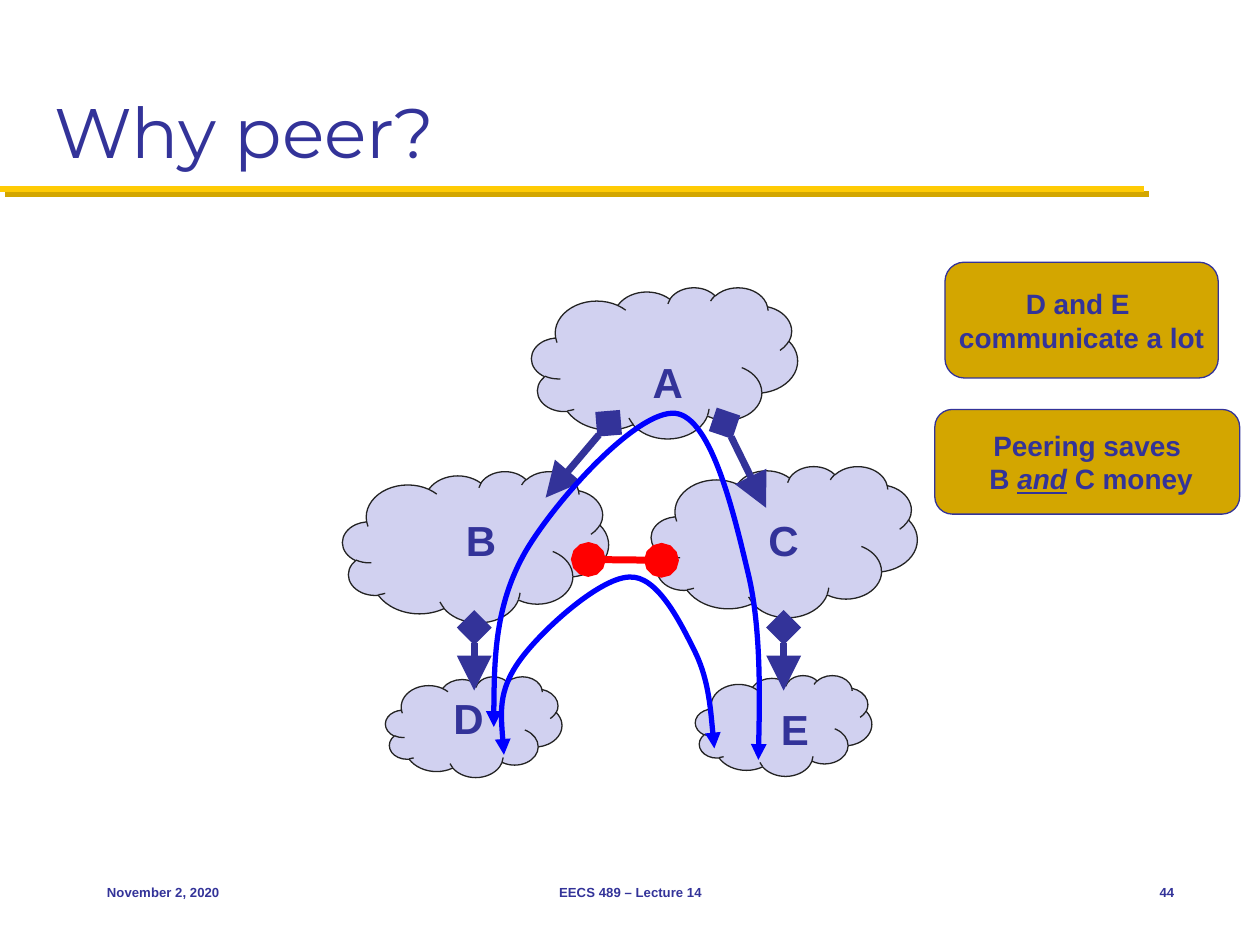
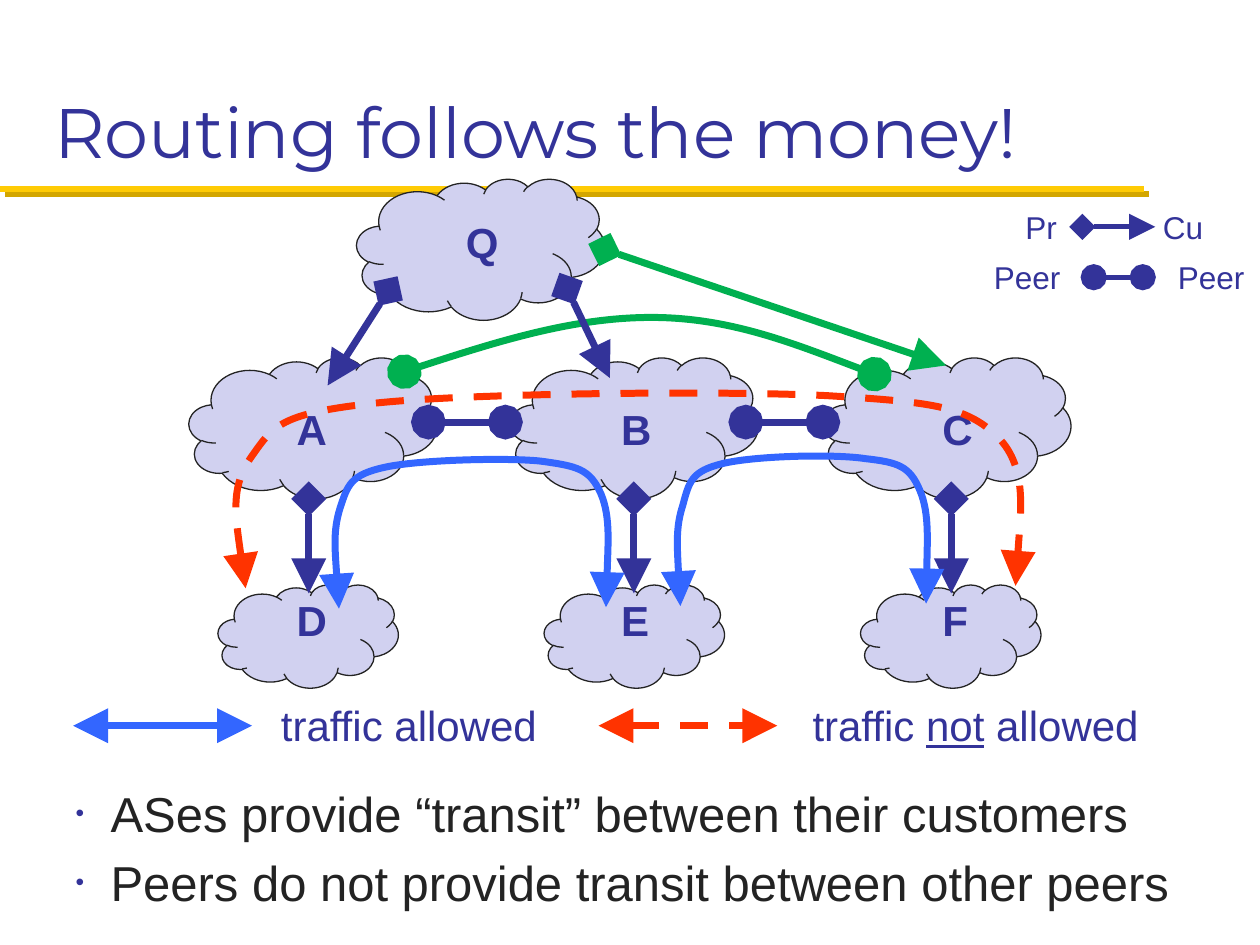
"""Build two slides on peering between networks and routing by money."""
from lxml.etree import SubElement
from pptx import Presentation
from pptx.dml.color import RGBColor
from pptx.enum.dml import MSO_LINE
from pptx.enum.shapes import MSO_CONNECTOR as CONN, MSO_SHAPE as SHAPE
from pptx.enum.text import MSO_ANCHOR as ANCHOR, MSO_AUTO_SIZE as FIT, PP_ALIGN as ALIGN
from pptx.oxml.ns import qn
from pptx.util import Pt

COLORS = {
    "navy": "333399", "ink": "232323", "cloud": "D1D1F0", "maize": "FFCB05",
    "gold": "D3A600", "red": "FF0000", "blue": "0000FF", "sky": "3366FF",
    "orange": "FF3300", "green": "00B050",
}
TRANSIT = ("diamond", "triangle")
PEER = ("oval", "oval")
TRAFFIC = ("triangle", "triangle")


def rgb(name):
    return RGBColor.from_string(COLORS[name])


class Deck:
    """Holds the style and the current slide, and draws each kind of element."""

    def __init__(self):
        self.prs = Presentation()
        self.prs.slide_width, self.prs.slide_height = Pt(720), Pt(540)
        self.slide = None

    def new_slide(self, title, layout):
        self.slide = self.prs.slides.add_slide(self.prs.slide_layouts[layout])
        self.rule()
        sp = self.slide.shapes.title
        self.place(sp, 23.8, 12.2, 671.8, 90)
        tf = self.frame(sp, ANCHOR.BOTTOM, wrap=True)
        self.add_runs(tf.paragraphs[0], [(title, "")], 40, font="Montserrat")

    def place(self, sp, x, y, w, h):
        sp.left, sp.top, sp.width, sp.height = Pt(x), Pt(y), Pt(w), Pt(h)

    def frame(self, sp, anchor=ANCHOR.TOP, wrap=False):
        tf = sp.text_frame
        tf.auto_size = FIT.NONE
        tf.word_wrap, tf.vertical_anchor = wrap, anchor
        return tf

    def add_runs(self, p, runs, size, color="navy", font="Arial", align=ALIGN.LEFT):
        p.alignment = align
        for text, style in runs:
            if text == "\n":
                p.add_line_break()
                continue
            r = p.add_run()
            r.text = text
            f = r.font
            f.name, f.size, f.color.rgb = font, Pt(size), rgb(color)
            f.bold, f.italic, f.underline = "b" in style, "i" in style, "u" in style

    def text(self, x, y, w, h, runs, size, align=ALIGN.LEFT, anchor=ANCHOR.TOP):
        sp = self.slide.shapes.add_textbox(Pt(x), Pt(y), Pt(w), Pt(h))
        tf = self.frame(sp, anchor)
        self.add_runs(tf.paragraphs[0], runs, size, align=align)

    def letter(self, name, x, y):
        self.text(x, y, 30, 36, [(name, "b")], 24)

    def shape(self, kind, x, y, w, h, fill, line):
        sp = self.slide.shapes.add_shape(kind, Pt(x), Pt(y), Pt(w), Pt(h))
        sp.shadow.inherit = False
        sp.fill.solid()
        sp.fill.fore_color.rgb = rgb(fill)
        sp.line.color.rgb, sp.line.width = rgb(line), Pt(0.75)
        return sp

    def cloud(self, x, y, size):
        self.shape(SHAPE.CLOUD, x, y, *size, "cloud", "ink")

    def callout(self, x, y, w, h, runs):
        sp = self.shape(SHAPE.ROUNDED_RECTANGLE, x, y, w, h, "gold", "navy")
        tf = self.frame(sp, ANCHOR.MIDDLE)
        self.add_runs(tf.paragraphs[0], runs, 16, align=ALIGN.CENTER)

    def stroke(self, sp, color, width, ends, size, dashed):
        sp.line.color.rgb, sp.line.width = rgb(color), Pt(width)
        if dashed:
            sp.line.dash_style = MSO_LINE.DASH
        ln = sp._element.spPr.find(qn("a:ln"))
        for tag, kind in zip(("a:headEnd", "a:tailEnd"), ends):
            SubElement(ln, qn(tag), type=kind, w=size, len=size)

    def line(self, x1, y1, x2, y2, ends=(), color="navy", width=4, dashed=False):
        sp = self.slide.shapes.add_connector(CONN.STRAIGHT, Pt(x1), Pt(y1), Pt(x2), Pt(y2))
        self.stroke(sp, color, width, ends, "lg", dashed)
        return SubElement(sp._element.spPr, qn("a:effectLst"))

    def rule(self):
        effects = self.line(0, 108, 653.8, 108, color="maize", width=3.5)
        shadow = SubElement(effects, qn("a:outerShdw"), blurRad="0", dist=str(Pt(4.2)),
                            dir="2700000", algn="ctr", rotWithShape="0")
        SubElement(shadow, qn("a:srgbClr"), val=COLORS["gold"])

    def curve(self, points, color, ends=TRAFFIC, width=4, size="lg", dashed=False):
        start, *rest = [(Pt(x), Pt(y)) for x, y in points]
        fb = self.slide.shapes.build_freeform(*start, scale=1.0)
        fb.add_line_segments(rest, close=False)
        sp = fb.convert_to_shape()
        sp.shadow.inherit = False
        sp.fill.background()
        steps = list(sp._element.iter(qn("a:lnTo")))
        for i in range(0, len(steps), 3):
            bezier = SubElement(steps[i].getparent(), qn("a:cubicBezTo"))
            for step in steps[i:i + 3]:
                bezier.append(step[0])
                step.getparent().remove(step)
        self.stroke(sp, color, width, ends, size, dashed)

    def bullets(self, x, y, w, h, items):
        sp = self.slide.placeholders[1]
        self.place(sp, x, y, w, h)
        tf = self.frame(sp, wrap=True)
        for i, item in enumerate(items):
            p = tf.add_paragraph() if i else tf.paragraphs[0]
            self.add_runs(p, [(item, "")], 28, "ink")
            pPr = p._p.get_or_add_pPr()
            pPr.set("marL", str(Pt(20)))
            pPr.set("indent", str(-Pt(20)))
            SubElement(SubElement(pPr, qn("a:buClr")), qn("a:srgbClr"), val=COLORS["navy"])
            SubElement(pPr, qn("a:buSzPct"), val="50000")
            SubElement(pPr, qn("a:buFont"), typeface="Arial")
            SubElement(pPr, qn("a:buChar"), char="•")

    def footer(self, date, course, number):
        for x, w, text, align in ((54, 149.8, date, ALIGN.LEFT),
                                  (246.2, 228.2, course, ALIGN.CENTER),
                                  (630, 48.2, number, ALIGN.RIGHT)):
            self.text(x, 491.8, w, 36, [(text, "b")], 7.5, align, ANCHOR.MIDDLE)


def why_peer(deck):
    deck.new_slide("Why peer?", 5)
    big, small = (152, 86.4), (100.8, 57.6)
    for x, y, size in ((397.4, 385.9, small), (220.3, 386.6, small), (303.8, 164.2, big),
                       (372.2, 266.4, big), (195.8, 269.3, big)):
        deck.cloud(x, y, size)
    deck.line(336.2, 319.7, 378, 320.2, PEER, "red")
    for ends in ((271, 358.6, 271, 394.6), (447.8, 358.6, 447.8, 394.6),
                 (414, 241.9, 437.8, 290.2), (347.8, 241.9, 311.8, 284.4)):
        deck.line(*ends, TRANSIT)
    for name, x, y in (("A", 365.8, 200.2), ("B", 259.2, 290.2), ("C", 432, 290.2),
                       ("D", 252, 392.4), ("E", 439.2, 398.2)):
        deck.letter(name, x, y)
    via_provider = [
        (282.2, 415.4), (282.2, 380.9), (283, 345.6), (300.2, 315.4), (317.5, 285.8),
        (364.3, 234), (385.9, 236.2), (406.8, 238.3), (419.8, 295.2), (427.7, 328.3),
        (435.6, 361.4), (433.4, 434.2), (433.4, 434.2)]
    via_peers = [
        (288, 431.3), (286.6, 413.3), (284.4, 395.3), (296.6, 378), (308.2, 361.4),
        (342, 330.5), (359.3, 329.8), (375.8, 328.3), (389.5, 357.1), (397.4, 373),
        (405.4, 389.5), (408.2, 427.7), (408.2, 427.7)]
    for route in (via_provider, via_peers):
        deck.curve(route, "blue", width=3, size="med")
    deck.callout(540, 149.8, 156.2, 66.2,
                 [("D and E ", "b"), ("\n", ""), ("communicate a lot", "b")])
    deck.callout(534.2, 234, 174.2, 59.8,
                 [("Peering saves", "b"), ("\n", ""), (" B ", "b"), ("and", "biu"),
                  (" C money", "b")])
    deck.footer("November 2, 2020", "EECS 489 – Lecture 14", "44")


def routing(deck):
    deck.new_slide("Routing follows the money!", 1)
    big, small = (141.8, 80.6), (103, 59)
    for x in (124.6, 311, 491.8):
        deck.cloud(x, 334.1, small)
    for x in (291.6, 470.2, 108):
        deck.cloud(x, 204.3, big)
    for x in (244.8, 426.2):
        deck.line(x, 241.2, x + 44, 241.2, PEER)
    for x in (176.4, 362.2, 543.6):
        deck.line(x, 285.1, x, 339.1, TRANSIT)
    deck.cloud(203.8, 102.2, big)
    deck.line(221.8, 166.3, 187.2, 220.3, TRANSIT)
    for top, bottom, x in (("A", "D", 162.4), ("B", "E", 347.8), ("C", "F", 531.4)):
        deck.letter(top, x, 226.8)
        deck.letter(bottom, x, 336.2)
    deck.letter("Q", 259.2, 120.2)

    deck.line(618.5, 129.6, 660.2, 129.6, TRANSIT, width=3)
    for text, x, y, w in (("Pr", 578.9, 115.2, 34), ("Cu", 657.4, 115.2, 39),
                          ("Peer", 560.9, 144, 54), ("Peer", 666, 144, 54)):
        deck.text(x, y, w, 28.8, [(text, "")], 18)
    deck.line(625, 158.4, 653, 158.4, PEER, width=3)

    a_to_b = [
        (193.7, 347.8), (192.2, 326.2), (190.1, 303.8), (194.4, 290.2), (198.7, 277.2),
        (200.2, 271.4), (219.6, 267.1), (238.3, 262.8), (288.7, 261.4), (308.9, 263.5),
        (329.8, 266.4), (337, 267.8), (343.4, 282.2), (349.2, 295.9), (346.3, 347),
        (346.3, 347)]
    b_to_c = [
        (388.8, 346.3), (387.4, 324), (385.9, 301.7), (390.2, 288.7), (393.8, 275),
        (395.3, 269.3), (412.6, 265), (429.8, 260.6), (475.9, 259.2), (494.6, 262.1),
        (513.4, 264.2), (519.8, 266.4), (525.6, 280.1), (531.4, 293.8), (529.2, 344.9),
        (529.2, 344.9)]
    a_to_c = [
        (140.4, 336.2), (136.1, 307.4), (131, 278.6), (144, 260.6), (156.2, 243.4),
        (159.8, 236.2), (214.6, 230.4), (269.3, 224.6), (412.6, 223.2), (472.3, 226.1),
        (531.4, 229.7), (552.2, 231.8), (570.2, 249.8), (588.2, 267.8), (580.3, 334.8),
        (580.3, 334.8)]
    new_peering = [
        (231.1, 212.4), (279.4, 196.6), (327.6, 181.4), (372.2, 181.4), (416.9, 181.4),
        (457.9, 198), (499.7, 213.8)]
    for route in (a_to_b, b_to_c):
        deck.curve(route, "sky")
    deck.curve(a_to_c, "orange", dashed=True)
    for x, color, dashed in ((41.8, "sky", False), (342, "orange", True)):
        deck.line(x, 414.7, x + 102.2, 414.7, TRAFFIC, color, dashed=dashed)
    deck.text(153.4, 396.4, 162, 36.7, [("traffic allowed", "")], 24)
    deck.text(457.2, 396.4, 202.3, 36.7,
              [("traffic ", ""), ("not", "u"), (" allowed", "")], 24)
    deck.bullets(36, 444.2, 648, 84.2,
                 ["ASes provide “transit” between their customers",
                  "Peers do not provide transit between other peers"])
    deck.line(345.6, 142.6, 540.7, 208.8, TRANSIT, "green")
    deck.curve(new_peering, "green", PEER)
    deck.line(324, 164.9, 348.5, 216, TRANSIT)


deck = Deck()
why_peer(deck)
routing(deck)
deck.prs.save("out.pptx")
